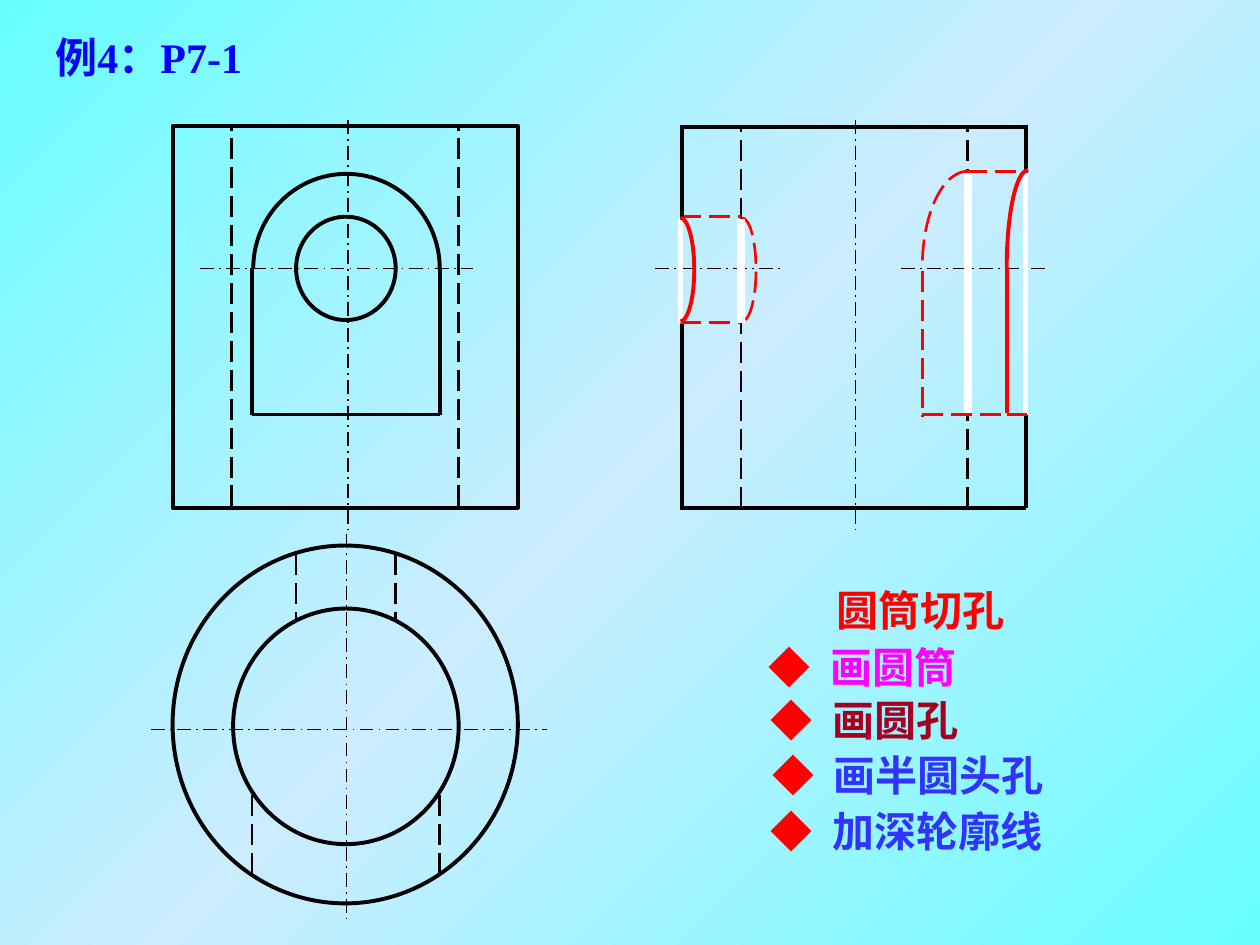
from copy import deepcopy
from dataclasses import dataclass
from math import cos, radians, sin

from lxml import etree
from pptx import Presentation
from pptx.dml.color import RGBColor
from pptx.enum.dml import MSO_LINE
from pptx.enum.shapes import MSO_CONNECTOR, MSO_SHAPE
from pptx.enum.text import MSO_ANCHOR, MSO_AUTO_SIZE, PP_ALIGN
from pptx.oxml.ns import qn
from pptx.util import Inches, Pt

STRAIGHT = MSO_CONNECTOR.STRAIGHT
RECTANGLE, OVAL = MSO_SHAPE.RECTANGLE, MSO_SHAPE.OVAL
SOLID, DASH, DASH_DOT = MSO_LINE.SOLID, MSO_LINE.LONG_DASH, MSO_LINE.LONG_DASH_DOT
LEFT, TOP = PP_ALIGN.LEFT, MSO_ANCHOR.TOP
FIT_SHAPE = MSO_AUTO_SIZE.SHAPE_TO_FIT_TEXT

BLACK = RGBColor(0x00, 0x00, 0x00)
WHITE = RGBColor(0xFF, 0xFF, 0xFF)
RED = RGBColor(0xFF, 0x00, 0x00)
BLUE = RGBColor(0x00, 0x00, 0xFF)
INDIGO = RGBColor(0x33, 0x33, 0xFF)
MAGENTA = RGBColor(0xFF, 0x00, 0xFF)
MAROON = RGBColor(0xA5, 0x00, 0x21)
AQUA = RGBColor(0x66, 0xFF, 0xFF)
PALE_BLUE = RGBColor(0xCC, 0xEC, 0xFF)

OUTLINE = (BLACK, 2.25, SOLID)
THIN_OUTLINE = (BLACK, 0.75, SOLID)
HIDDEN = (BLACK, 1.5, DASH)
CENTRE = (BLACK, 1, DASH_DOT)
CUT = (RED, 2.25, SOLID)
THIN_CUT = (RED, 0.75, SOLID)
HIDDEN_CUT = (RED, 1.5, DASH)
ERASE_EDGE = (WHITE, 3, SOLID)
ERASE_BORE = (WHITE, 4.5, SOLID)

FONT = "Times New Roman"
DIAMETER, HEIGHT = 2.74, 3.03


def apply_pen(line, pen):
    color, width, dash = pen
    line.color.rgb = color
    line.width = Pt(width)
    if dash != SOLID:
        line.dash_style = dash


@dataclass
class View:
    shapes: object
    left: float
    top: float

    def place(self, x, y):
        return Inches(self.left + x), Inches(self.top + y)

    def line(self, x1, y1, x2, y2, pen):
        connector = self.shapes.add_connector(
            STRAIGHT, *self.place(x1, y1), *self.place(x2, y2))
        apply_pen(connector.line, pen)
        etree.SubElement(connector.element.spPr, qn("a:effectLst"))

    def outline(self, shape_type, x, y, width, height, pen):
        shape = self.shapes.add_shape(
            shape_type, *self.place(x, y), Inches(width), Inches(height))
        self.finish(shape, pen)

    def arc(self, x, y, radius_x, radius_y, start, quarters, pen):
        step = 90 if quarters > 0 else -90
        angles = [radians(start + step * i) for i in range(abs(quarters) + 1)]
        points = [self.place(x + radius_x * cos(a), y + radius_y * sin(a)) for a in angles]
        builder = self.shapes.build_freeform(*points[0])
        builder.add_line_segments(points[1:], close=False)
        shape = builder.convert_to_shape()
        outline = shape.element.find(".//" + qn("a:path"))
        for segment in outline.findall(qn("a:lnTo")):
            outline.remove(segment)
        etree.SubElement(
            outline, qn("a:arcTo"), wR=str(Inches(radius_x)), hR=str(Inches(radius_y)),
            stAng=str(start * 60000), swAng=str(quarters * 90 * 60000))
        self.finish(shape, pen)

    def finish(self, shape, pen):
        shape.shadow.inherit = False
        shape.fill.background()
        apply_pen(shape.line, pen)


def draw_front_view(view):
    view.line(1.39, -0.05, 1.39, 3.21, CENTRE)
    view.line(0.22, 1.13, 2.38, 1.13, CENTRE)
    view.outline(OVAL, 0.98, 0.72, 0.79, 0.82, OUTLINE)
    view.outline(RECTANGLE, 0, 0, DIAMETER, HEIGHT, OUTLINE)
    for x in (0.63, 2.12):
        view.line(x, 1.13, x, 2.29, OUTLINE)
    view.line(0.63, 2.29, 2.12, 2.29, OUTLINE)
    view.arc(1.38, 1.13, 0.74, 0.75, 180, 2, OUTLINE)
    for x in (0.47, 2.27):
        view.line(x, 3.02, x, 0.01, HIDDEN)


def draw_top_view(view):
    view.outline(OVAL, 0, 0, DIAMETER, 2.84, OUTLINE)
    view.line(1.38, -0.09, 1.38, 2.96, CENTRE)
    view.line(-0.17, 1.46, 2.97, 1.46, CENTRE)
    view.outline(OVAL, 0.48, 0.5, 1.79, 1.87, OUTLINE)
    for x in (0.98, 1.77):
        view.line(x, 0.07, x, 0.58, HIDDEN)
    for x in (0.63, 2.12):
        view.line(x, 1.98, x, 2.62, HIDDEN)


def draw_cut_edges(view, pen):
    view.arc(0, 1.14, 0.11, 0.41, 270, 2, pen)
    view.line(2.59, 1.12, 2.59, 2.28, pen)
    view.line(2.59, 2.29, 2.75, 2.29, pen)
    view.arc(2.76, 1.12, 0.17, 0.77, 270, -1, pen)


def draw_side_view(view):
    view.line(1.39, -0.05, 1.39, 3.21, CENTRE)
    view.line(-0.2, 1.13, 0.83, 1.13, CENTRE)
    view.outline(RECTANGLE, 0, 0, DIAMETER, HEIGHT, THIN_OUTLINE)
    for x in (0.48, 2.28):
        view.line(x, HEIGHT, x, 0.01, HIDDEN)
    view.line(1.75, 1.13, 2.92, 1.13, CENTRE)

    draw_cut_edges(view, THIN_CUT)
    view.line(2.27, 0.36, 2.76, 0.36, HIDDEN_CUT)
    for y in (0.72, 1.56):
        view.line(0, y, 0.48, y, HIDDEN_CUT)
    view.arc(0.49, 1.14, 0.11, 0.41, 270, 2, HIDDEN_CUT)
    view.arc(2.28, 1.12, 0.36, 0.76, 270, -1, HIDDEN_CUT)
    view.line(1.92, 1.15, 1.92, 2.31, HIDDEN_CUT)
    for x, pen in ((0, ERASE_EDGE), (0.48, ERASE_BORE)):
        view.line(x, 0.74, x, 1.56, pen)
    for x, pen in ((2.74, ERASE_EDGE), (2.28, ERASE_BORE)):
        view.line(x, 0.37, x, 2.29, pen)
    view.line(1.92, 2.29, 2.58, 2.29, HIDDEN_CUT)

    for x, top, bottom in ((0.01, 0.72, 1.57), (2.74, 0.36, 2.29)):
        view.line(x, -0.01, x, top, OUTLINE)
        view.line(x, bottom, x, HEIGHT, OUTLINE)
    for y in (0.01, HEIGHT):
        view.line(0, y, DIAMETER, y, OUTLINE)
    draw_cut_edges(view, CUT)


def write_text(shape, *runs):
    frame = shape.text_frame
    frame.word_wrap = True
    frame.auto_size = FIT_SHAPE
    frame.vertical_anchor = TOP
    paragraph = frame.paragraphs[0]
    paragraph.alignment = LEFT
    font = paragraph.font
    font.name, font.size, font.bold = FONT, Pt(24), True
    for text, color in runs:
        run = paragraph.add_run()
        run.text = text
        run.font.color.rgb = color


def add_tab_stop(paragraph, position):
    tabs = etree.SubElement(paragraph._p.get_or_add_pPr(), qn("a:tabLst"))
    etree.SubElement(tabs, qn("a:tab"), pos=str(position), algn="l")


def add_steps(shapes, left, top):
    heading = shapes.add_textbox(
        Inches(left + 0.54), Inches(top), Inches(2.59), Inches(0.5))
    write_text(heading, ("圆筒切孔", RED))
    steps = (
        (0, 0.45, "画圆筒", MAGENTA),
        (0.02, 0.87, "画圆孔", MAROON),
        (0.03, 1.31, "画半圆头孔", INDIGO),
        (0.02, 1.75, "加深轮廓线", INDIGO),
    )
    for x, y, text, color in steps:
        box = shapes.add_textbox(
            Inches(left + x), Inches(top + y), Inches(3.51), Inches(0.5))
        add_tab_stop(box.text_frame.paragraphs[0], Inches(0.49))
        write_text(box, ("◆\t", RED), (text, color))


def add_title(slide):
    title = slide.shapes.title
    title.left, title.top = Inches(0.34), Inches(0.2)
    title.width, title.height = Inches(8.34), Inches(0.5)
    write_text(title, ("例4：P7-1", BLUE))


def paint_background(slide):
    fill = slide.background.fill
    fill.gradient()
    fill.gradient_angle = 315
    stop_list = slide.element.find(".//" + qn("a:gsLst"))
    stop_list.append(deepcopy(stop_list[-1]))
    for stop, position, color in zip(
            fill.gradient_stops, (0, 0.5, 1), (AQUA, PALE_BLUE, AQUA)):
        stop.position = position
        stop.color.rgb = color


def main():
    presentation = Presentation()
    presentation.slide_width, presentation.slide_height = Inches(10), Inches(7.5)
    slide = presentation.slides.add_slide(presentation.slide_layouts[5])
    paint_background(slide)
    add_title(slide)
    draw_front_view(View(slide.shapes, 1.37, 1))
    draw_top_view(View(slide.shapes, 1.37, 4.33))
    draw_side_view(View(slide.shapes, 5.4, 1))
    add_steps(slide.shapes, 6, 4.59)
    presentation.save("out.pptx")


if __name__ == "__main__":
    main()
